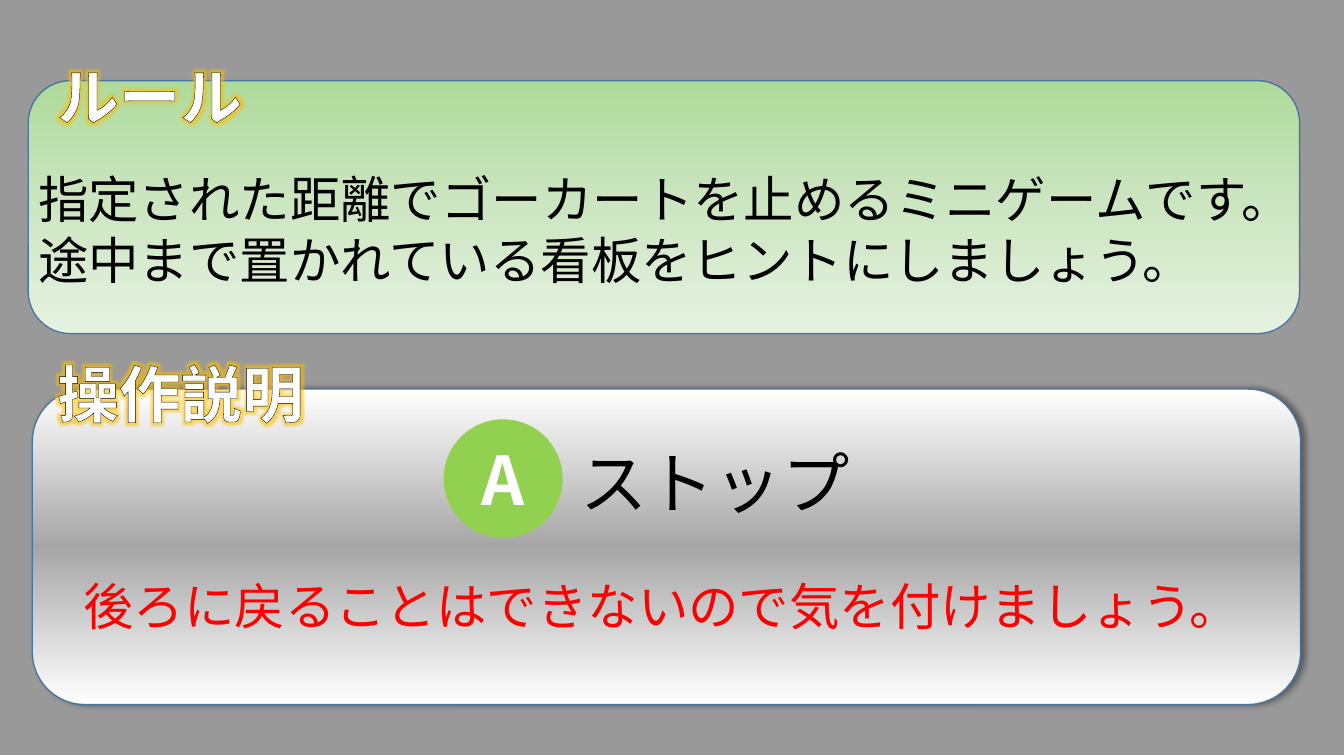
from pptx import Presentation, util as u
from pptx.dml.color import RGBColor
from pptx.enum import shapes, text
from pptx.oxml import parse_xml
from pptx.oxml.ns import nsdecls, qn

NS = nsdecls("a")
FACE = "Noto Sans CJK JP"


def hue(fill, code, alpha=100):
    fill.solid()
    fill.fore_color.rgb = RGBColor.from_string(code)
    if alpha < 100:
        node = fill._xPr.find(qn("a:solidFill"))[0]
        node.append(parse_xml(f'<a:alpha {NS} val="{alpha * 1000}"/>'))


def write(words, shape, size=36, color="000000", bold=False, glow=False,
          align=text.PP_ALIGN.LEFT, anchor=text.MSO_ANCHOR.TOP):
    frame = shape.text_frame
    frame.word_wrap = True
    frame.vertical_anchor = anchor
    for i, line in enumerate(words.split("\n")):
        para = frame.add_paragraph() if i else frame.paragraphs[0]
        para.alignment = align
        run = para.add_run()
        run.text = line
        font = run.font
        font.size, font.bold, font.name = u.Pt(size), bold, FACE
        hue(font.fill, color)
        props = run._r.get_or_add_rPr()
        props.append(parse_xml(f'<a:ea {NS} typeface="{FACE}"/>'))
        if glow:
            props.insert(0, parse_xml(
                f'<a:ln {NS} w="28575"><a:solidFill><a:srgbClr val="000000"/>'
                '</a:solidFill></a:ln>'))
            props.insert(2, parse_xml(
                f'<a:effectLst {NS}><a:glow rad="101600"><a:srgbClr val="FFC000">'
                '<a:alpha val="60000"/></a:srgbClr></a:glow></a:effectLst>'))


deck = Presentation()
deck.slide_width, deck.slide_height = u.Inches(13.33), u.Inches(7.5)
slide = deck.slides.add_slide(deck.slide_layouts[6])
items = slide.shapes
kind = shapes.MSO_SHAPE

# Dim backdrop
veil = items.add_shape(kind.RECTANGLE, 0, u.Inches(-0.01),
                       deck.slide_width, deck.slide_height)
veil.shadow.inherit = False
hue(veil.fill, "000000", 40)
veil.line.fill.background()

# Gradient panels for the rules and the controls
panels = [
    ((0.28, 0.8, 12.61, 2.51), ("AEDA9B", "CDE6C2", "E6F2E1"), 90),
    ((0.32, 3.86, 12.58, 3.13), ("FFFFFF", "A6A6A6", "FFFFFF"), 270),
]
for box, colors, angle in panels:
    panel = items.add_shape(kind.ROUNDED_RECTANGLE, *map(u.Inches, box))
    panel.shadow.inherit = False
    hue(panel.line.fill, "43739E", 95)
    panel.line.width = u.Pt(1)
    stops = "".join(f'<a:gs pos="{i * 50000}"><a:srgbClr val="{c}"/></a:gs>'
                    for i, c in enumerate(colors))
    panel.fill.background()
    props = panel._element.spPr
    props.replace(props.find(qn("a:noFill")), parse_xml(
        f'<a:gradFill {NS} rotWithShape="1"><a:gsLst>{stops}</a:gsLst>'
        f'<a:lin ang="{angle * 60000}" scaled="0"/></a:gradFill>'))

# Shadow of the controls panel, the last one drawn
props.find(qn("a:effectLst")).append(parse_xml(
    f'<a:outerShdw {NS} blurRad="50800" dist="38100" dir="0" algn="l" '
    'rotWithShape="0"><a:srgbClr val="000000"><a:alpha val="40000"/>'
    '</a:srgbClr></a:outerShdw>'))

# Rules and headings
rules = "指定された距離でゴーカートを止めるミニゲームです。\n途中まで置かれている看板をヒントにしましょう。"
head = dict(size=44, color="FFFFFF", bold=True, glow=True)
notes = [
    (rules, (0.28, 1.62, 12.44, 1.31), {}),
    ("ルール", (0.47, 0.53, 2.63, 0.84), head),
    ("操作説明", (0.47, 3.48, 3.07, 0.84), head),
]
for words, box, style in notes:
    write(words, items.add_textbox(*map(u.Inches, box)), **style)

# Button and its action
group = items.add_group_shape().shapes
key = group.add_shape(kind.OVAL, *map(u.Inches, (4.4, 4.16, 1.18, 1.18)))
key.shadow.inherit = False
hue(key.fill, "92D050")
key.line.fill.background()
write("A", key, size=48, color="FFFFFF", bold=True,
      align=text.PP_ALIGN.CENTER, anchor=text.MSO_ANCHOR.MIDDLE)
label = group.add_textbox(*map(u.Inches, (5.66, 4.33, 2.93, 0.91)))
write("ストップ", label, size=48)

# Warning
alert = items.add_textbox(*map(u.Inches, (0.73, 5.66, 11.87, 0.71)))
write("後ろに戻ることはできないので気を付けましょう。", alert, color="FF0000")

deck.save("out.pptx")
